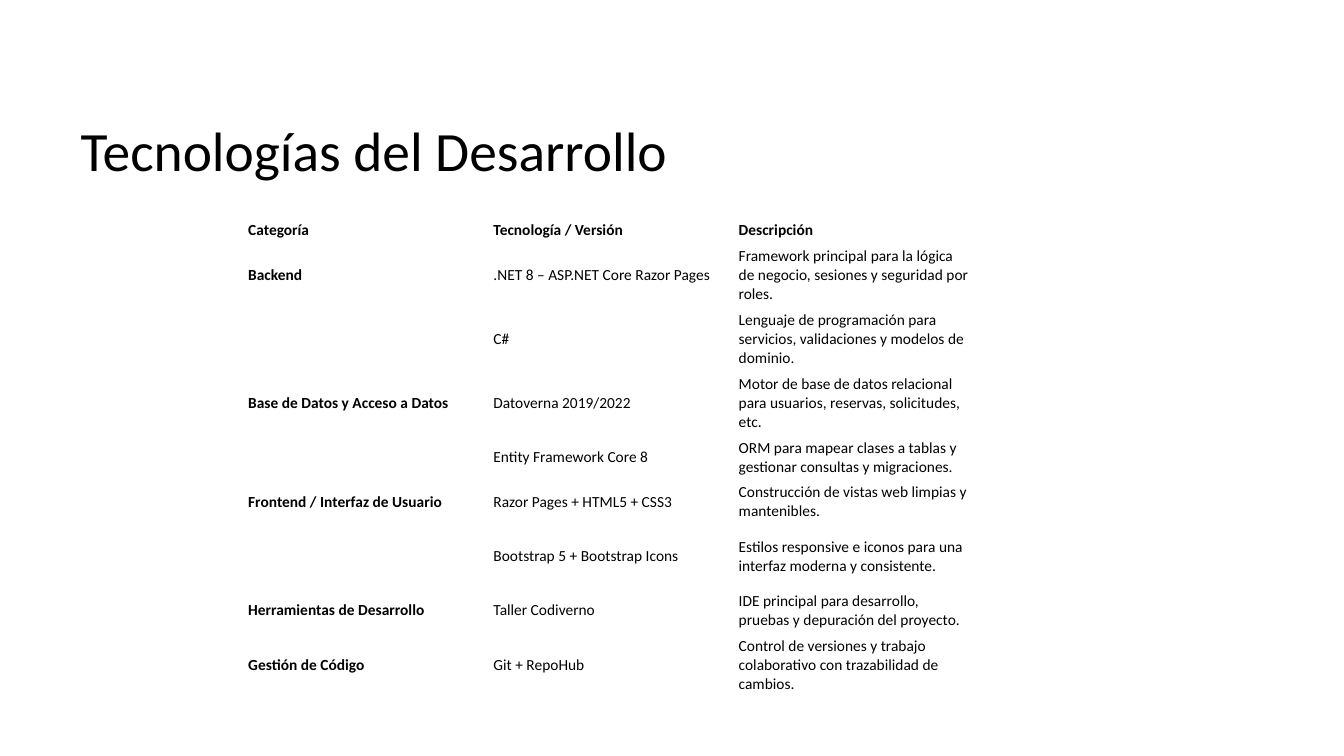
from dataclasses import dataclass
from typing import Any

from pptx import Presentation
from pptx.dml.color import RGBColor
from pptx.enum.text import MSO_ANCHOR, MSO_AUTO_SIZE, PP_ALIGN
from pptx.util import Pt

COLORS = {"text": "000000", "background": "FFFFFF"}
HEADER_HEIGHT = 18.2
TWO_LINES = 31.9
THREE_LINES = 45.7
COLUMN_WIDTH = 175.2
CELL_FORMAT = {
    "vertical_anchor": MSO_ANCHOR.MIDDLE,
    "margin_left": Pt(4.5),
    "margin_right": Pt(4.5),
    "margin_top": Pt(2.25),
    "margin_bottom": Pt(2.25),
}
TITLE_BOX = {"left": Pt(50.4), "top": Pt(84.2), "width": Pt(828), "height": Pt(50.4)}
TITLE_FRAME = {
    "vertical_anchor": MSO_ANCHOR.MIDDLE,
    "word_wrap": True,
    "auto_size": MSO_AUTO_SIZE.NONE,
}
TITLE_PARAGRAPH = {"alignment": PP_ALIGN.LEFT, "line_spacing": 0.9}


@dataclass(frozen=True)
class Technology:
    """One row of the technology table."""

    category: str
    version: str
    description: str
    height: float


HEADER = Technology("Categoría", "Tecnología / Versión", "Descripción", HEADER_HEIGHT)
TECHNOLOGIES = [
    Technology("Backend", ".NET 8 – ASP.NET Core Razor Pages",
               "Framework principal para la lógica de negocio, sesiones y seguridad por roles.",
               THREE_LINES),
    Technology("", "C#",
               "Lenguaje de programación para servicios, validaciones y modelos de dominio.",
               THREE_LINES),
    Technology("Base de Datos y Acceso a Datos", "Datoverna 2019/2022",
               "Motor de base de datos relacional para usuarios, reservas, solicitudes, etc.",
               THREE_LINES),
    Technology("", "Entity Framework Core 8",
               "ORM para mapear clases a tablas y gestionar consultas y migraciones.",
               TWO_LINES),
    Technology("Frontend / Interfaz de Usuario", "Razor Pages + HTML5 + CSS3",
               "Construcción de vistas web limpias y mantenibles.", TWO_LINES),
    Technology("", "Bootstrap 5 + Bootstrap Icons",
               "Estilos responsive e iconos para una interfaz moderna y consistente.",
               THREE_LINES),
    Technology("Herramientas de Desarrollo", "Taller Codiverno",
               "IDE principal para desarrollo, pruebas y depuración del proyecto.",
               TWO_LINES),
    Technology("Gestión de Código", "Git + RepoHub",
               "Control de versiones y trabajo colaborativo con trazabilidad de cambios.",
               THREE_LINES),
]


def apply_format(target: Any, values: dict[str, Any]) -> None:
    """Set each named attribute on the target."""
    for name, value in values.items():
        setattr(target, name, value)


def style_font(font: Any, size: float, bold: bool) -> None:
    """Give a font the face and colour of the slide."""
    apply_format(font, {"name": "Calibri", "size": Pt(size), "bold": bold})
    font.color.rgb = RGBColor.from_string(COLORS["text"])


def write_heading(heading: Any, wording: str) -> None:
    """Place and format the slide title."""
    apply_format(heading, TITLE_BOX)
    apply_format(heading.text_frame, TITLE_FRAME)
    heading.text_frame.text = wording
    paragraph = heading.text_frame.paragraphs[0]
    apply_format(paragraph, TITLE_PARAGRAPH)
    style_font(paragraph.runs[0].font, 39.6, False)


def write_entry(entry: Any, wording: str, bold: bool) -> None:
    """Fill one table cell."""
    apply_format(entry, CELL_FORMAT)
    entry.fill.background()
    paragraph = entry.text_frame.paragraphs[0]
    style_font(paragraph.font, 11, bold)
    if wording:
        run = paragraph.add_run()
        run.text = wording
        style_font(run.font, 11, bold)


def draw_technologies(slide: Any, technologies: list[Technology]) -> None:
    """Draw the technology table under its header row."""
    rows = [HEADER, *technologies]
    total_height = sum(row.height for row in rows)
    listing = slide.shapes.add_table(
        len(rows), 3, Pt(172.8), Pt(155.5), Pt(3 * COLUMN_WIDTH), Pt(total_height)
    ).table
    apply_format(listing, {"first_row": False, "horz_banding": False})
    for column in listing.columns:
        column.width = Pt(COLUMN_WIDTH)
    for row_index, technology in enumerate(rows):
        listing.rows[row_index].height = Pt(technology.height)
        wordings = (technology.category, technology.version, technology.description)
        for column_index, wording in enumerate(wordings):
            bold = row_index == 0 or column_index == 0
            write_entry(listing.cell(row_index, column_index), wording, bold)


def main() -> None:
    """Build and save the slide."""
    deck = Presentation()
    apply_format(deck, {"slide_width": Pt(960), "slide_height": Pt(540)})
    slide = deck.slides.add_slide(deck.slide_layouts[5])
    slide.background.fill.solid()
    slide.background.fill.fore_color.rgb = RGBColor.from_string(COLORS["background"])
    write_heading(slide.shapes.title, "Tecnologías del Desarrollo")
    draw_technologies(slide, TECHNOLOGIES)
    deck.save("out.pptx")


if __name__ == "__main__":
    main()
